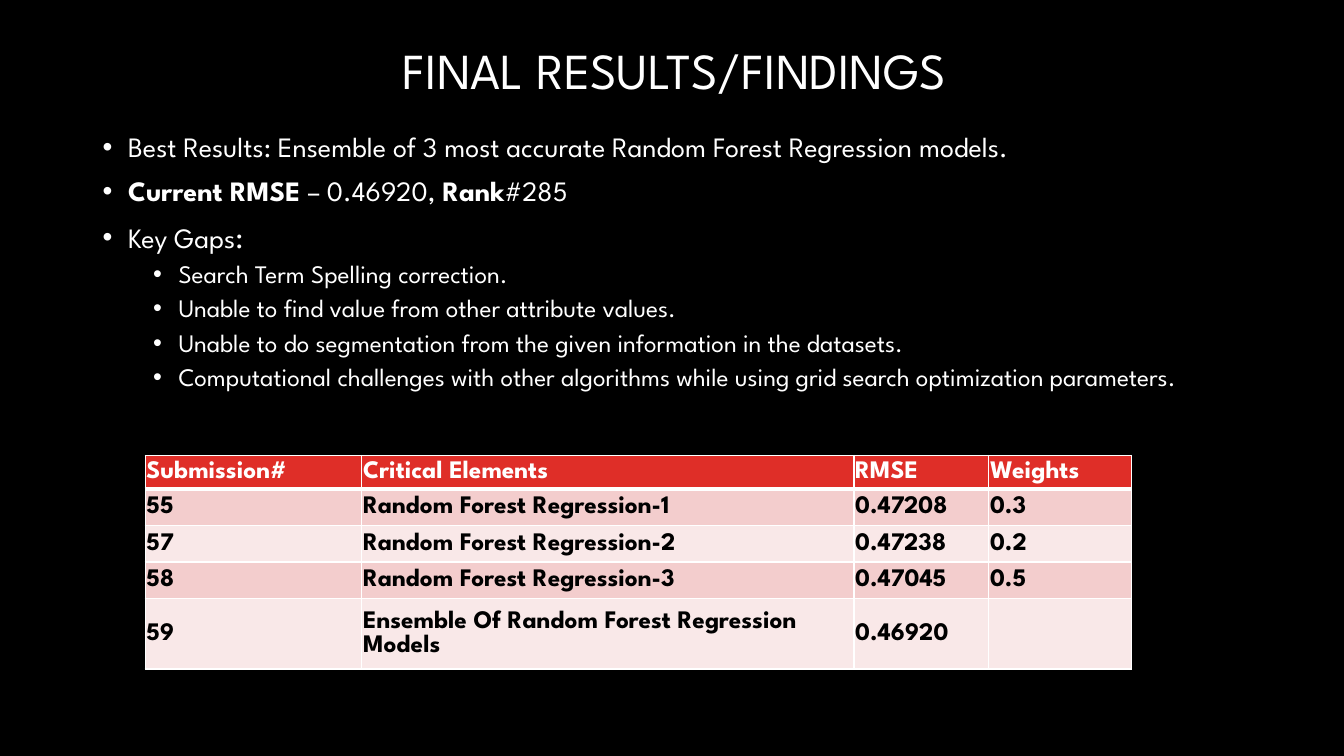
import dataclasses

import pptx
import pptx.dml.color
import pptx.enum.text
import pptx.oxml.ns
import pptx.util
from lxml import etree
from pptx.util import Cm, Pt


@dataclasses.dataclass(frozen=True)
class Theme:
    font: str = "League Spartan"
    black: str = "000000"
    white: str = "FFFFFF"
    header: str = "DF2E28"
    bands: tuple = ("F3CDCD", "F9E8E8")
    title_size: int = 36
    finding_size: int = 20
    colon_size: int = 22
    gap_size: int = 18
    table_size: int = 18


theme = Theme()
qn = pptx.oxml.ns.qn
rgb = pptx.dml.color.RGBColor.from_string
MIDDLE = pptx.enum.text.MSO_ANCHOR.MIDDLE


def style(paragraph, size, color, bold=None):
    font = paragraph.font
    font.name, font.size, font.bold = theme.font, Pt(size), bold
    font.color.rgb = rgb(color)


def add_border(cell, side, width):
    line = etree.SubElement(cell._tc.get_or_add_tcPr(), qn(f"a:ln{side}"), w=str(Pt(width)))
    solid = etree.SubElement(line, qn("a:solidFill"))
    etree.SubElement(solid, qn("a:srgbClr"), val=theme.white)


# Slide with a black background
deck = pptx.Presentation()
deck.slide_width, deck.slide_height = Cm(33.87), Cm(19.05)
slide = deck.slides.add_slide(deck.slide_layouts[5])
slide.background.fill.solid()
slide.background.fill.fore_color.rgb = rgb(theme.black)

# Title
title = slide.shapes.title
title.left, title.top, title.width, title.height = Cm(2.03), Cm(0), Cm(29.95), Cm(3.71)
title.text_frame.text = "FINAL RESULTS/FINDINGS"
title.text_frame.auto_size = pptx.enum.text.MSO_AUTO_SIZE.NONE
title.text_frame.vertical_anchor = MIDDLE
heading = title.text_frame.paragraphs[0]
heading.alignment = pptx.enum.text.PP_ALIGN.CENTER
heading.line_spacing = 0.9
style(heading, theme.title_size, theme.white)

# Findings: level, then runs as (text, bold, own size)
findings = [
    (0, [("Best Results: Ensemble of 3 most accurate Random Forest Regression models.", False, None)]),
    (0, [("Current RMSE ", True, None), ("– 0.46920, ", False, None),
         ("Rank", True, None), ("#285", False, None)]),
    (0, [("Key Gaps", False, None), (":", False, theme.colon_size)]),
    (1, [("Search Term Spelling correction.", False, None)]),
    (1, [("Unable to find value from other attribute values.", False, None)]),
    (1, [("Unable to do segmentation from the given information in the datasets.", False, None)]),
    (1, [("Computational challenges with other algorithms while using grid search "
          "optimization parameters.", False, None)]),
]
findings_frame = slide.shapes.add_textbox(Cm(2.34), Cm(3.23), Cm(29.21), Cm(13.94)).text_frame
findings_frame.word_wrap = True
for index, (level, runs) in enumerate(findings):
    finding = findings_frame.add_paragraph() if index else findings_frame.paragraphs[0]
    finding.level = level
    finding.line_spacing = 0.9
    finding.space_before = Pt(5 if level else 10)
    properties = finding._p.get_or_add_pPr()
    properties.set("marL", str(Cm(1.91 if level else 0.64)))
    properties.set("indent", str(-Cm(0.64)))
    etree.SubElement(properties, qn("a:buFont"), typeface="Arial")
    etree.SubElement(properties, qn("a:buChar"), char="•")
    style(finding, theme.gap_size if level else theme.finding_size, theme.white)
    for text, bold, size in runs:
        run = finding.add_run()
        run.text = text
        if bold:
            run.font.bold = True
        if size:
            run.font.size = Pt(size)

# Table of submissions
submissions = [
    ("Submission#", "Critical Elements", "RMSE", "Weights"),
    ("55", "Random Forest Regression-1", "0.47208", "0.3"),
    ("57", "Random Forest Regression-2", "0.47238", "0.2"),
    ("58", "Random Forest Regression-3", "0.47045", "0.5"),
    ("59", "Ensemble Of Random Forest Regression Models", "0.46920", ""),
]
column_widths = [5.46, 12.4, 3.4, 3.6]
row_heights = [0.84, 0.92, 0.92, 0.92, 1.78]
table = slide.shapes.add_table(
    len(row_heights), len(column_widths), Cm(3.66), Cm(11.48),
    Cm(sum(column_widths)), Cm(sum(row_heights))).table
for column, width in zip(table.columns, column_widths):
    column.width = Cm(width)
for row_index, (row, height, values) in enumerate(zip(table.rows, row_heights, submissions)):
    row.height = Cm(height)
    is_header = row_index == 0
    for cell, value in zip(row.cells, values):
        cell.margin_left = cell.margin_top = cell.margin_right = Cm(0.03)
        cell.margin_bottom = Cm(0)
        cell.vertical_anchor = MIDDLE
        for side in "LRTB":
            under_header = (row_index, side) in ((0, "B"), (1, "T"))
            add_border(cell, side, 3 if under_header else 1)
        cell.fill.solid()
        cell.fill.fore_color.rgb = rgb(theme.header if is_header else theme.bands[(row_index - 1) % 2])
        cell.text = value
        style(cell.text_frame.paragraphs[0], theme.table_size,
              theme.white if is_header else theme.black, bold=True)

deck.save("out.pptx")
